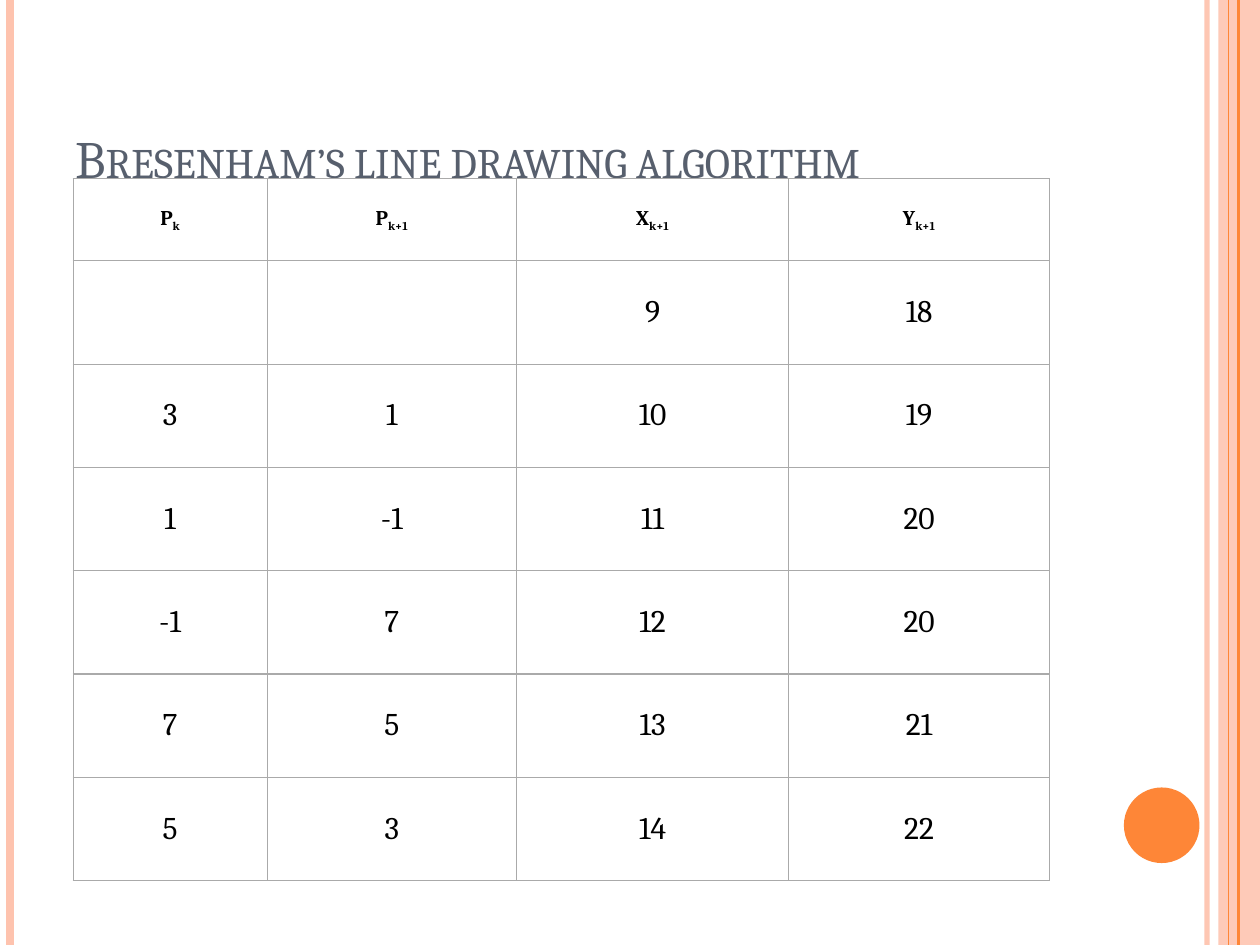
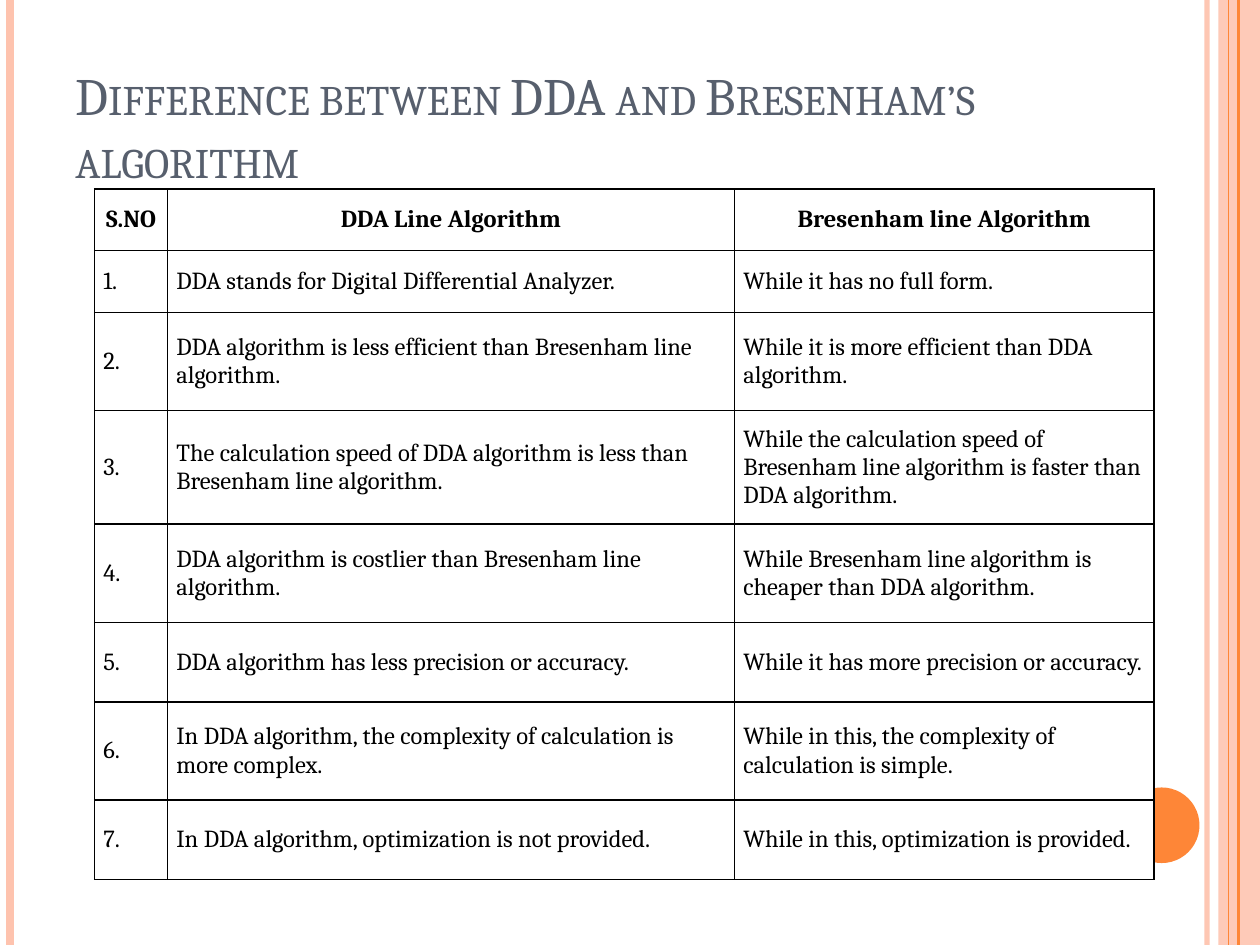
"""Build two slides on Bresenham's line drawing algorithm."""
from lxml.etree import SubElement
from pptx import Presentation
from pptx.dml.color import RGBColor
from pptx.enum.shapes import MSO_CONNECTOR, MSO_SHAPE
from pptx.enum.text import MSO_ANCHOR, PP_ALIGN
from pptx.oxml.ns import qn
from pptx.util import Inches, Pt

PEACH = RGBColor(0xFE, 0xC3, 0xAE)
ORANGE = RGBColor(0xFE, 0x86, 0x37)
SLATE = RGBColor(0x57, 0x5F, 0x6D)
BLACK = RGBColor(0, 0, 0)
WHITE = RGBColor(0xFF, 0xFF, 0xFF)
GREY = RGBColor(0xAA, 0xAA, 0xAA)
FONT = "Cambria"

STEPS = [
    ["P_k", "P_k+1", "X_k+1", "Y_k+1"],
    ["", "", "9", "18"],
    ["3", "1", "10", "19"],
    ["1", "-1", "11", "20"],
    ["-1", "7", "12", "20"],
    ["7", "5", "13", "21"],
    ["5", "3", "14", "22"],
]
DIFFERENCES = [
    ["S.NO", "DDA Line Algorithm", "Bresenham line Algorithm"],
    ["1.", "DDA stands for Digital Differential Analyzer.", "While it has no full form."],
    ["2.", "DDA algorithm is less efficient than Bresenham line algorithm.",
     "While it is more efficient than DDA algorithm."],
    ["3.", "The calculation speed of DDA algorithm is less than Bresenham line algorithm.",
     "While the calculation speed of Bresenham line algorithm is faster than DDA algorithm."],
    ["4.", "DDA algorithm is costlier than Bresenham line algorithm.",
     "While Bresenham line algorithm is cheaper than DDA algorithm."],
    ["5.", "DDA algorithm has less precision or accuracy.",
     "While it has more precision or accuracy."],
    ["6.", "In DDA algorithm, the complexity of calculation is more complex.",
     "While in this, the complexity of calculation is simple."],
    ["7.", "In DDA algorithm, optimization is not provided.",
     "While in this, optimization is provided."],
]
SLIDES = [
    dict(title="Bresenham’s line drawing algorithm", rows=STEPS, left=0.58, top=1.42,
         widths=[1.54, 1.98, 2.16, 2.07], heights=[0.65] + [0.82] * 6,
         header_size=12, body_size=18, body_align=PP_ALIGN.CENTER,
         margin_x=0.1, header_margin_y=0.08, body_margin_y=0.08,
         border=GREY, border_width=0.75),
    dict(title="Difference between DDA and Bresenham’s algorithm", rows=DIFFERENCES,
         left=0.75, top=1.5, widths=[0.58, 4.5, 3.33],
         heights=[0.49, 0.49, 0.78, 0.78, 0.78, 0.63, 0.78, 0.63],
         header_size=14, body_size=14, body_align=PP_ALIGN.LEFT,
         margin_x=0.07, header_margin_y=0.07, body_margin_y=0.1,
         border=BLACK, border_width=1),
]
RULES = [(9.58, PEACH, 3, 93), (0.08, PEACH, 4.5, 100), (9.83, ORANGE, 1.5, 100),
         (9.75, ORANGE, 0.75, 100)]
PANELS = [(MSO_SHAPE.RECTANGLE, 9.67, 0, 0.33, 7.5, PEACH, 87),
          (MSO_SHAPE.OVAL, 8.92, 6.25, 0.6, 0.6, ORANGE, 100)]


def set_alpha(shape, percent):
    color = next(shape._element.spPr.iter(qn("a:srgbClr")))
    SubElement(color, qn("a:alpha"), val=str(percent * 1000))


def set_borders(cell, color, width):
    properties = cell._tc.get_or_add_tcPr()
    for index, side in enumerate(("lnL", "lnR", "lnT", "lnB")):
        line = SubElement(properties, qn(f"a:{side}"), w=str(Pt(width)))
        fill = SubElement(line, qn("a:solidFill"))
        SubElement(fill, qn("a:srgbClr"), val=str(color))
        properties.remove(line)
        properties.insert(index, line)


presentation = Presentation()
presentation.slide_width = Inches(10)
presentation.slide_height = Inches(7.5)

for content in SLIDES:
    slide = presentation.slides.add_slide(presentation.slide_layouts[6])

    for kind, left, top, width, height, color, opacity in PANELS:
        panel = slide.shapes.add_shape(kind, Inches(left), Inches(top), Inches(width), Inches(height))
        panel.shadow.inherit = False
        panel.fill.solid()
        panel.fill.fore_color.rgb = color
        panel.line.fill.background()
        set_alpha(panel, opacity)
    for x, color, width, opacity in RULES:
        rule = slide.shapes.add_connector(
            MSO_CONNECTOR.STRAIGHT, Inches(x), 0, Inches(x), presentation.slide_height)
        rule.line.color.rgb = color
        rule.line.width = Pt(width)
        set_alpha(rule, opacity)
        SubElement(rule._element.spPr, qn("a:effectLst"))

    title = slide.shapes.add_textbox(Inches(0.5), Inches(0.3), Inches(8.17), Inches(1.25))
    title.text_frame.word_wrap = True
    title.text_frame.vertical_anchor = MSO_ANCHOR.BOTTOM
    paragraph = title.text_frame.paragraphs[0]
    run = paragraph.add_run()
    run.text = content["title"]
    run.font.name = FONT
    run.font.size = Pt(30)
    run.font.color.rgb = SLATE
    run._r.get_or_add_rPr().set("cap", "small")

    rows, widths, heights = content["rows"], content["widths"], content["heights"]
    table = slide.shapes.add_table(
        len(rows), len(widths), Inches(content["left"]), Inches(content["top"]),
        Inches(sum(widths)), Inches(sum(heights))).table
    table.first_row = False
    table.horz_banding = False
    for column, width in zip(table.columns, widths):
        column.width = Inches(width)
    for row_index, (row, height) in enumerate(zip(rows, heights)):
        table.rows[row_index].height = Inches(height)
        header = row_index == 0
        margin_y = content["header_margin_y" if header else "body_margin_y"]
        for column_index, text in enumerate(row):
            cell = table.cell(row_index, column_index)
            cell.fill.solid()
            cell.fill.fore_color.rgb = WHITE
            set_borders(cell, content["border"], content["border_width"])
            cell.vertical_anchor = MSO_ANCHOR.MIDDLE
            cell.margin_left = cell.margin_right = Inches(content["margin_x"])
            cell.margin_top = cell.margin_bottom = Inches(margin_y)
            paragraph = cell.text_frame.paragraphs[0]
            paragraph.alignment = PP_ALIGN.CENTER if header else content["body_align"]
            paragraph.font.name = FONT
            paragraph.font.size = Pt(content["header_size" if header else "body_size"])
            paragraph.font.bold = header
            paragraph.font.color.rgb = BLACK
            base, _, subscript = text.partition("_")
            if base:
                paragraph.add_run().text = base
            if subscript:
                run = paragraph.add_run()
                run.text = subscript
                run._r.get_or_add_rPr().set("baseline", "-25000")

presentation.save("out.pptx")
